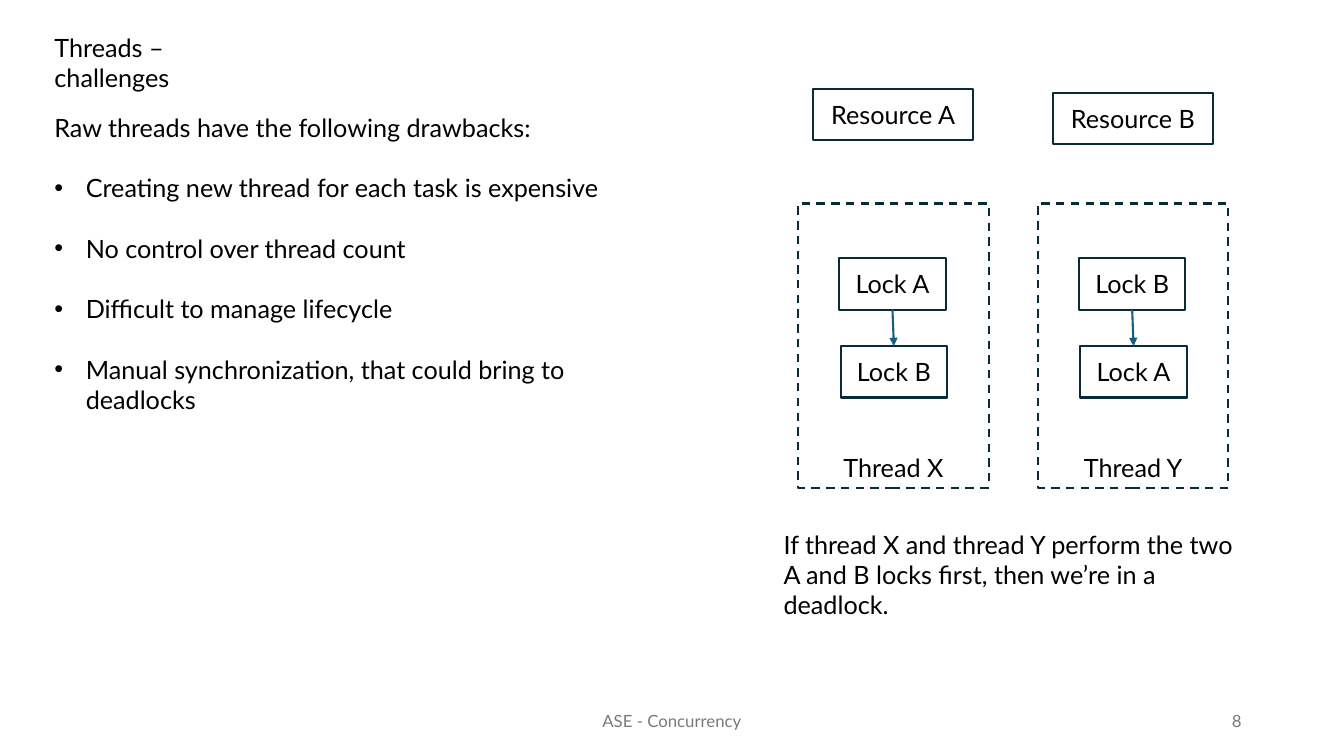
from dataclasses import dataclass

from lxml import etree
from pptx import Presentation
from pptx.dml.color import RGBColor
from pptx.enum.dml import MSO_LINE
from pptx.enum.shapes import MSO_CONNECTOR, MSO_SHAPE
from pptx.enum.text import MSO_ANCHOR, MSO_AUTO_SIZE, PP_ALIGN
from pptx.oxml.ns import qn
from pptx.shapes.autoshape import Shape
from pptx.slide import Slide
from pptx.text.text import TextFrame
from pptx.util import Pt

TITLE_ONLY = 5
RECTANGLE = MSO_SHAPE.RECTANGLE
STRAIGHT = MSO_CONNECTOR.STRAIGHT
DASH = MSO_LINE.DASH
TOP, MIDDLE, BOTTOM = MSO_ANCHOR.TOP, MSO_ANCHOR.MIDDLE, MSO_ANCHOR.BOTTOM
LEFT, CENTER, RIGHT = PP_ALIGN.LEFT, PP_ALIGN.CENTER, PP_ALIGN.RIGHT
NO_AUTO_SIZE = MSO_AUTO_SIZE.NONE


@dataclass(frozen=True)
class Theme:
    font: str = "Lato"
    text: RGBColor = RGBColor(0x00, 0x00, 0x00)
    footer: RGBColor = RGBColor(0x79, 0x79, 0x79)
    outline: RGBColor = RGBColor(0x09, 0x2A, 0x39)
    arrow: RGBColor = RGBColor(0x15, 0x60, 0x82)
    body_size: float = 18
    footer_size: float = 12
    line_width: float = 1.5


@dataclass(frozen=True)
class Box:
    """Left, top, width and height in points."""
    left: float
    top: float
    width: float
    height: float

    def lengths(self) -> tuple[Pt, Pt, Pt, Pt]:
        return Pt(self.left), Pt(self.top), Pt(self.width), Pt(self.height)


@dataclass(frozen=True)
class Thread:
    name: str
    resource: str
    resource_top: float
    locks: tuple[str, str]


THEME = Theme()
THREADS = [
    Thread("Thread X", "Resource A", 63.4, ("Lock A", "Lock B")),
    Thread("Thread Y", "Resource B", 66.2, ("Lock B", "Lock A")),
]
THREAD_LEFT, THREAD_STEP = 570.2, 171.2
INTRODUCTION = "Raw threads have the following drawbacks:"
DRAWBACKS = [
    "Creating new thread for each task is expensive",
    "No control over thread count",
    "Difficult to manage lifecycle",
    "Manual synchronization, that could bring to deadlocks",
]
DEADLOCK_NOTE = (
    "If thread X and thread Y perform the two\n"
    "A and B locks first, then we’re in a deadlock."
)
PARAGRAPH_GAP = 21.6
BULLET_INDENT = 22.5


def write_text(frame: TextFrame, text: str, anchor: MSO_ANCHOR, alignment: PP_ALIGN,
               size: float = THEME.body_size, color: RGBColor = THEME.text) -> None:
    frame.text = text
    frame.word_wrap = True
    frame.auto_size = NO_AUTO_SIZE
    frame.vertical_anchor = anchor
    for paragraph in frame.paragraphs:
        paragraph.alignment = alignment
        for run in paragraph.runs:
            run.font.name = THEME.font
            run.font.size = Pt(size)
            run.font.color.rgb = color


def add_title(slide: Slide, text: str, box: Box) -> None:
    title = slide.shapes.title
    title.left, title.top, title.width, title.height = box.lengths()
    write_text(title.text_frame, text, TOP, LEFT)


def add_text(slide: Slide, text: str, box: Box) -> TextFrame:
    frame = slide.shapes.add_textbox(*box.lengths()).text_frame
    write_text(frame, text, TOP, LEFT)
    return frame


def add_footer(slide: Slide, text: str, box: Box, alignment: PP_ALIGN) -> None:
    frame = slide.shapes.add_textbox(*box.lengths()).text_frame
    write_text(frame, text, MIDDLE, alignment, THEME.footer_size, THEME.footer)


def add_drawbacks(slide: Slide, box: Box) -> None:
    frame = add_text(slide, "\n".join([INTRODUCTION, *DRAWBACKS]), box)
    for paragraph in frame.paragraphs[1:]:
        paragraph.space_before = Pt(PARAGRAPH_GAP)
        properties = paragraph._p.get_or_add_pPr()
        properties.set("marL", str(Pt(BULLET_INDENT)))
        properties.set("indent", str(-Pt(BULLET_INDENT)))
        etree.SubElement(properties, qn("a:buFont"), typeface="Arial")
        etree.SubElement(properties, qn("a:buChar"), char="•")


def add_outlined_box(slide: Slide, text: str, box: Box, anchor: MSO_ANCHOR = MIDDLE) -> Shape:
    shape = slide.shapes.add_shape(RECTANGLE, *box.lengths())
    shape.shadow.inherit = False
    shape.fill.background()
    shape.line.color.rgb = THEME.outline
    shape.line.width = Pt(THEME.line_width)
    write_text(shape.text_frame, text, anchor, CENTER)
    return shape


def add_arrow(slide: Slide, start: tuple[float, float], end: tuple[float, float]) -> None:
    points = [Pt(value) for value in (*start, *end)]
    arrow = slide.shapes.add_connector(STRAIGHT, *points)
    arrow.line.color.rgb = THEME.arrow
    arrow.line.width = Pt(THEME.line_width)
    etree.SubElement(arrow.line._get_or_add_ln(), qn("a:tailEnd"), type="triangle")
    etree.SubElement(arrow._element.spPr, qn("a:effectLst"))


def add_thread(slide: Slide, thread: Thread, left: float) -> None:
    """Draw a resource above a dashed thread frame that holds two locks in order."""
    first, second = thread.locks
    first_box = Box(left + 29.3, 184.4, 76, 36.8)
    second_box = Box(left + 30.3, 247.2, 76, 36.8)
    add_outlined_box(slide, first, first_box)
    add_outlined_box(slide, second, second_box)
    add_arrow(
        slide,
        (first_box.left + first_box.width / 2, first_box.top + first_box.height),
        (second_box.left + second_box.width / 2, second_box.top),
    )
    add_outlined_box(slide, thread.resource, Box(left + 10.8, thread.resource_top, 114, 36.8))
    frame = add_outlined_box(slide, thread.name, Box(left, 145.4, 136, 203), BOTTOM)
    frame.line.dash_style = DASH


def main() -> None:
    presentation = Presentation()
    presentation.slide_width, presentation.slide_height = Pt(960), Pt(540)
    slide = presentation.slides.add_slide(presentation.slide_layouts[TITLE_ONLY])

    add_footer(slide, "ASE - Concurrency", Box(318, 500.5, 324, 28.8), CENTER)
    add_footer(slide, "8", Box(678, 500.5, 216, 28.8), RIGHT)
    add_title(slide, "Threads – challenges", Box(31.7, 19.6, 165, 50))
    add_drawbacks(slide, Box(31.7, 76.6, 455, 230))
    for index, thread in enumerate(THREADS):
        add_thread(slide, thread, THREAD_LEFT + index * THREAD_STEP)
    add_text(slide, DEADLOCK_NOTE, Box(552.6, 374.4, 350, 72))

    presentation.save("out.pptx")


if __name__ == "__main__":
    main()
